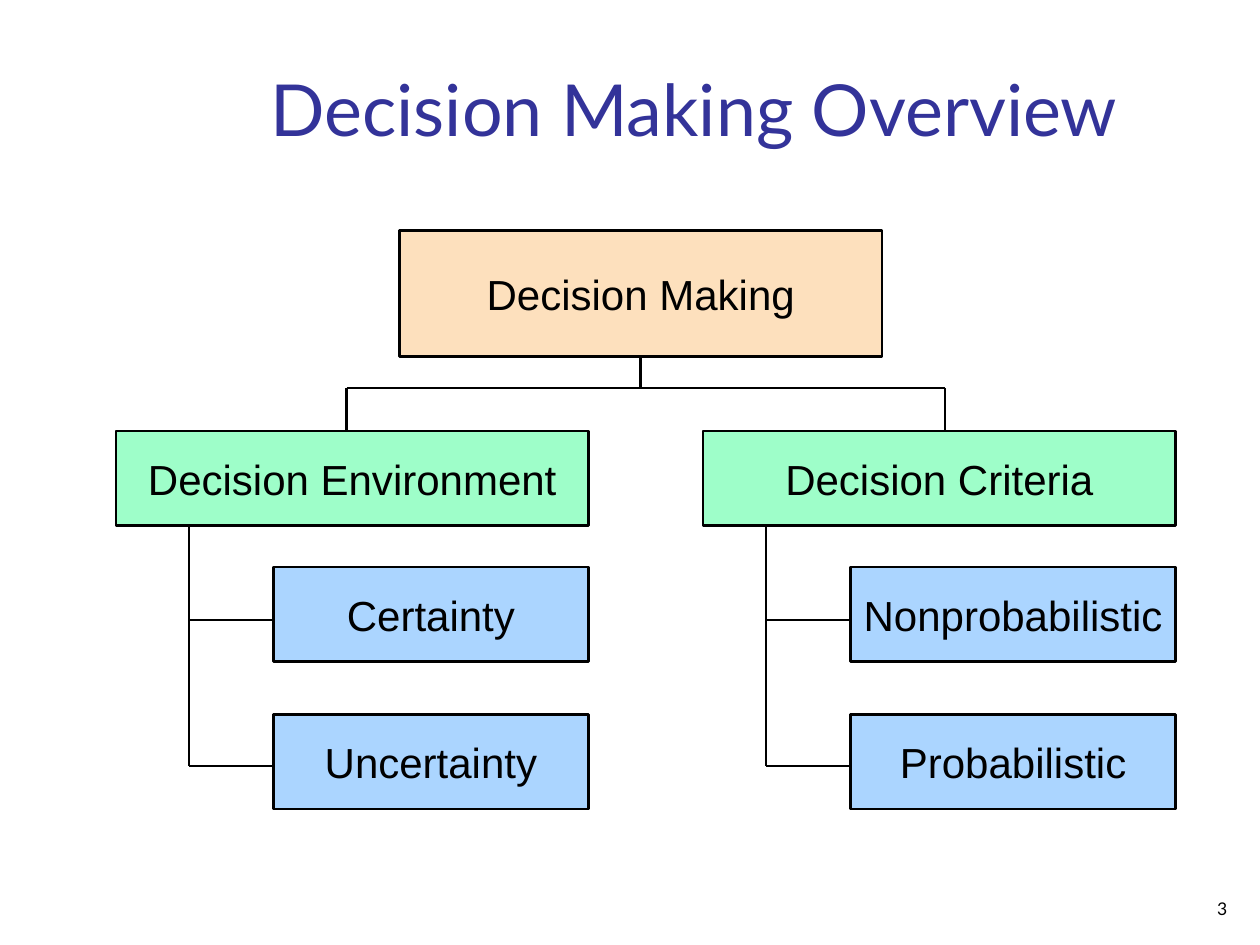
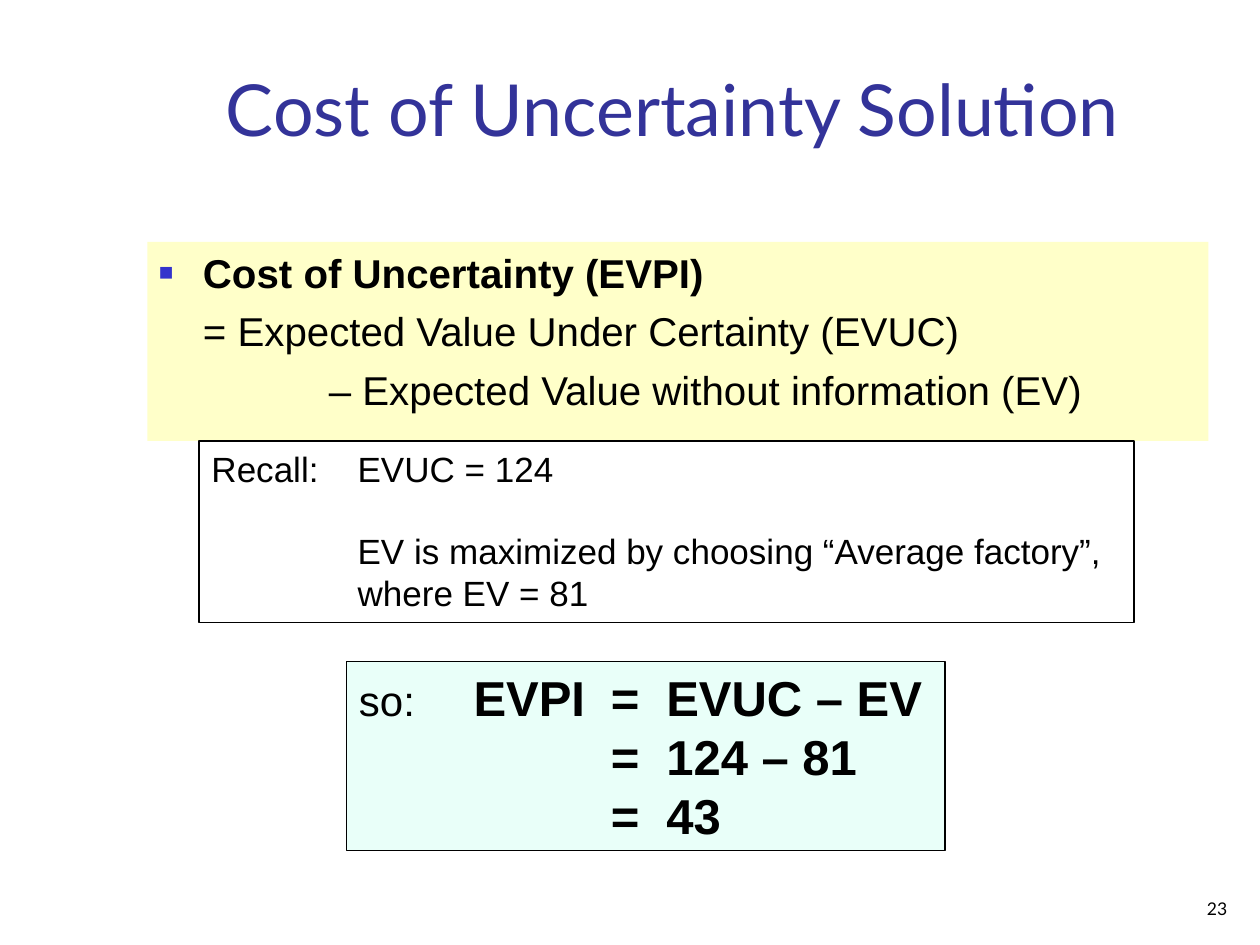
from lxml.etree import SubElement
from pptx import Presentation
from pptx.dml.color import RGBColor
from pptx.enum.shapes import MSO_CONNECTOR as Connector, MSO_SHAPE as Shape
from pptx.enum.text import MSO_ANCHOR as Anchor, MSO_AUTO_SIZE as AutoSize, PP_ALIGN as Align
from pptx.oxml.ns import qn
from pptx.util import Inches, Pt

COLORS = {
    "title": "333399",
    "ink": "000000",
    "root": "FDE0BD",
    "branch": "9EFEC9",
    "leaf": "ABD5FF",
    "formula": "FFFFC9",
    "result": "E9FFF9",
    "bullet": "3333CC",
}
TITLE_ONLY = 5


def color(name):
    return RGBColor.from_string(COLORS[name])


def write_text(para, text, size=24, font="Arial", ink="ink", bold=False):
    span = para.add_run()
    span.text = text
    span.font.size = Pt(size)
    span.font.name = font
    span.font.bold = bold
    span.font.color.rgb = color(ink)


def set_indent(para, margin, first=0):
    props = para._p.get_or_add_pPr()
    props.set("marL", str(Inches(margin)))
    props.set("indent", str(Inches(first)))


def set_bullet(para, mark, ink, percent):
    props = para._p.get_or_add_pPr()
    SubElement(SubElement(props, qn("a:buClr")), qn("a:srgbClr"), val=COLORS[ink])
    SubElement(props, qn("a:buSzPct"), val=str(percent * 1000))
    SubElement(props, qn("a:buFont"), typeface="Arial")
    SubElement(props, qn("a:buChar"), char=mark)


def set_tabs(para, stops):
    tabs = SubElement(para._p.get_or_add_pPr(), qn("a:tabLst"))
    for stop in stops:
        SubElement(tabs, qn("a:tab"), pos=str(Inches(stop)), algn="l")


class SlideBuilder:
    def __init__(self, deck):
        self.deck = deck
        self.page = None

    def start(self, title, number, left):
        self.page = self.deck.slides.add_slide(self.deck.slide_layouts[TITLE_ONLY])
        box = self.page.shapes.title
        box.left, box.top = Inches(left), Inches(0.42)
        box.width, box.height = Inches(8.52), Inches(0.83)
        self.frame(box, Anchor.BOTTOM)
        para = box.text_frame.paragraphs[0]
        para.alignment = Align.CENTER
        write_text(para, title, size=41, font="Lato", ink="title")
        self.page_number(number)

    def frame(self, box, anchor, wrap=True, inset=0.09):
        text = box.text_frame
        text.auto_size = AutoSize.NONE
        text.word_wrap = wrap
        text.vertical_anchor = anchor
        text.margin_left = text.margin_right = Inches(inset)
        text.margin_top = text.margin_bottom = Inches(0.05)

    def page_number(self, number):
        box = self.page.shapes.add_textbox(Inches(7.75), Inches(7), Inches(2.08), Inches(0.34))
        self.frame(box, Anchor.BOTTOM)
        para = box.text_frame.paragraphs[0]
        para.alignment = Align.RIGHT
        write_text(para, str(number), size=10, font="Lato")

    def rectangle(self, left, top, width, height, fill=None, line=None):
        box = self.page.shapes.add_shape(
            Shape.RECTANGLE, Inches(left), Inches(top), Inches(width), Inches(height)
        )
        box.shadow.inherit = False
        if fill:
            box.fill.solid()
            box.fill.fore_color.rgb = color(fill)
        else:
            box.fill.background()
        if line:
            box.line.color.rgb = color("ink")
            box.line.width = Pt(line)
        else:
            box.line.fill.background()
        return box

    def node(self, text, left, top, width, height, fill):
        box = self.rectangle(left, top, width, height, fill, line=1.5)
        self.frame(box, Anchor.MIDDLE, wrap=False, inset=0.1)
        para = box.text_frame.paragraphs[0]
        para.alignment = Align.CENTER
        write_text(para, text)
        return box

    def panel(self, left, top, width, height, count, inset=0.1, **look):
        box = self.rectangle(left, top, width, height, **look)
        self.frame(box, Anchor.TOP, inset=inset)
        text = box.text_frame
        paras = [text.paragraphs[0]] + [text.add_paragraph() for _ in range(count - 1)]
        for para in paras:
            para.alignment = Align.LEFT
        return paras

    def line(self, x1, y1, x2, y2):
        link = self.page.shapes.add_connector(
            Connector.STRAIGHT, Inches(x1), Inches(y1), Inches(x2), Inches(y2)
        )
        link.line.color.rgb = color("ink")
        link.line.width = Pt(1.5)
        SubElement(link._element.spPr, qn("a:effectLst"))
        return link


def build_overview(builder):
    builder.start("Decision Making Overview", 3, left=1.25)
    bus, branch_top, height = 3.08, 3.42, 0.75
    leaf_rows = [(4.5, 4.92), (5.67, 6.08)]
    branches = [
        ("Decision Environment", 0.92, 2.75, 2.5, ["Certainty", "Uncertainty"]),
        ("Decision Criteria", 5.58, 7.5, 2.58, ["Nonprobabilistic", "Probabilistic"]),
    ]
    root = builder.node("Decision Making", 3.17, 1.83, 3.83, 1, "root")
    stem = builder.line(5.08, 2.83, 5.08, bus)
    stem.begin_connect(root, 2)
    stem.end_x = stem.begin_x
    builder.line(2.75, bus, 7.5, bus)

    for name, left, drop, leaf_width, leaves in branches:
        leaf_left = left + 3.75 - leaf_width
        trunk = leaf_left - 0.67
        builder.node(name, left, branch_top, 3.75, height, "branch")
        builder.line(drop, bus, drop, branch_top)
        builder.line(trunk, branch_top + height, trunk, leaf_rows[-1][1])
        for leaf, (top, joint) in zip(leaves, leaf_rows):
            builder.node(leaf, leaf_left, top, leaf_width, height, "leaf")
            builder.line(trunk, joint, leaf_left, joint)


def build_solution(builder):
    builder.start("Cost of Uncertainty Solution", 23, left=1.08)

    definition = [
        ("Cost of Uncertainty (EVPI)", 0.35, -0.35, True),
        ("= Expected Value Under Certainty (EVUC)", 0.35, 0, False),
        ("– Expected Value without information (EV)", 1.35, 0, False),
    ]
    paras = builder.panel(1.17, 1.92, 8.42, 1.58, len(definition), inset=0.09, fill="formula")
    for para, (text, margin, first, bold) in zip(paras, definition):
        para.space_before = Pt(5.8)
        set_indent(para, margin, first)
        write_text(para, text, size=23, bold=bold)
    set_bullet(paras[0], "■", "bullet", 60)

    recall = [
        "Recall:\tEVUC = 124",
        "\tEV is maximized by choosing “Average factory”,",
        "\twhere EV = 81",
    ]
    paras = builder.panel(1.58, 3.5, 7.42, 1.44, len(recall), line=0.75)
    paras[1].space_before = Pt(23)
    for para, text in zip(paras, recall):
        set_tabs(para, [1.16])
        write_text(para, text, size=20)

    steps = [("so:", "\tEVPI\t=\tEVUC – EV"), ("", "\t\t=\t124 – 81"), ("", "\t\t=\t43")]
    paras = builder.panel(2.75, 5.25, 4.75, 1.5, len(steps), fill="result", line=0.75)
    for para, (lead, text) in zip(paras, steps):
        set_tabs(para, [0.91, 2, 2.44])
        if lead:
            write_text(para, lead)
        write_text(para, text, size=28, bold=True)


def main():
    deck = Presentation()
    deck.slide_width, deck.slide_height = Inches(10), Inches(7.5)
    builder = SlideBuilder(deck)
    build_overview(builder)
    build_solution(builder)
    deck.save("out.pptx")


if __name__ == "__main__":
    main()
